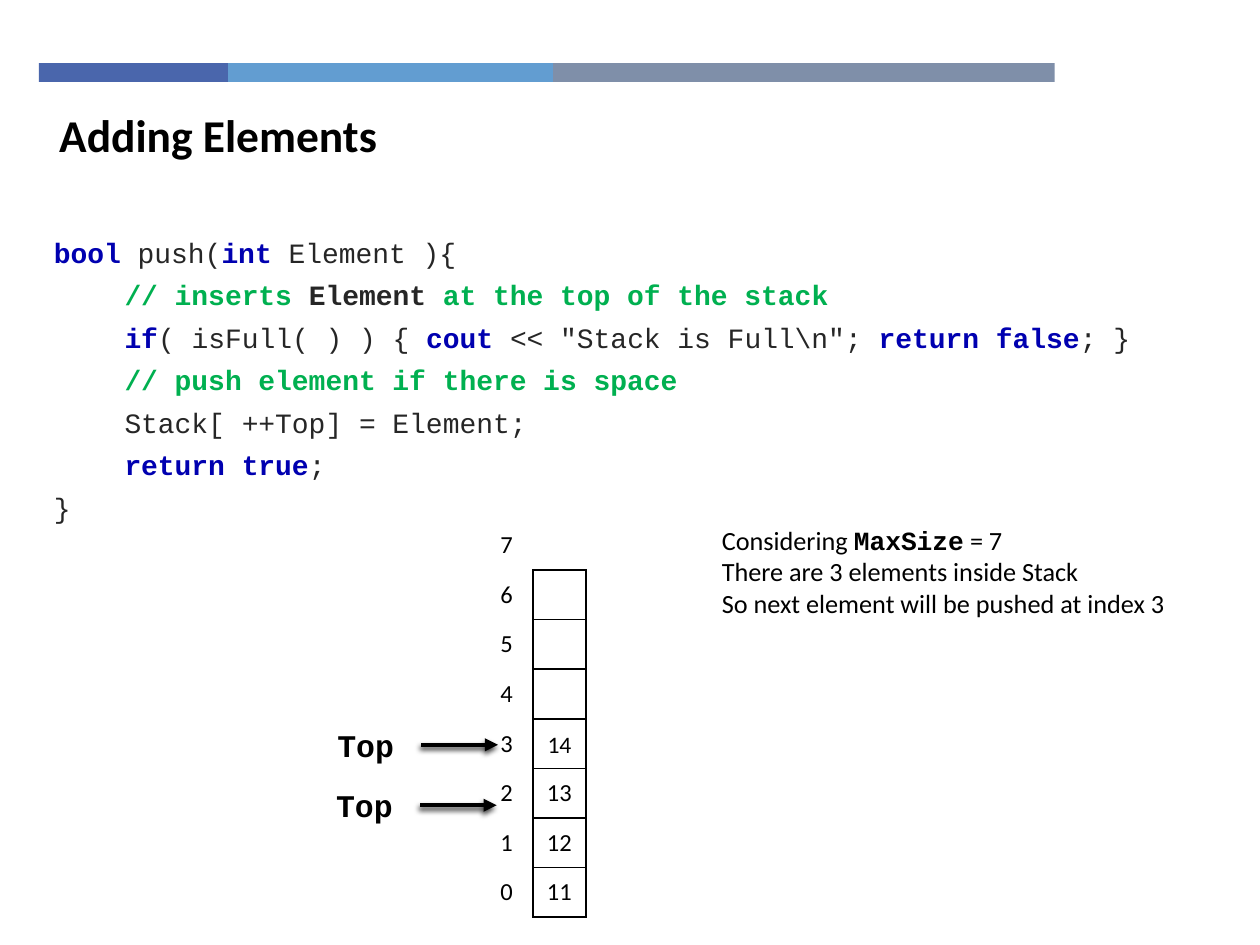
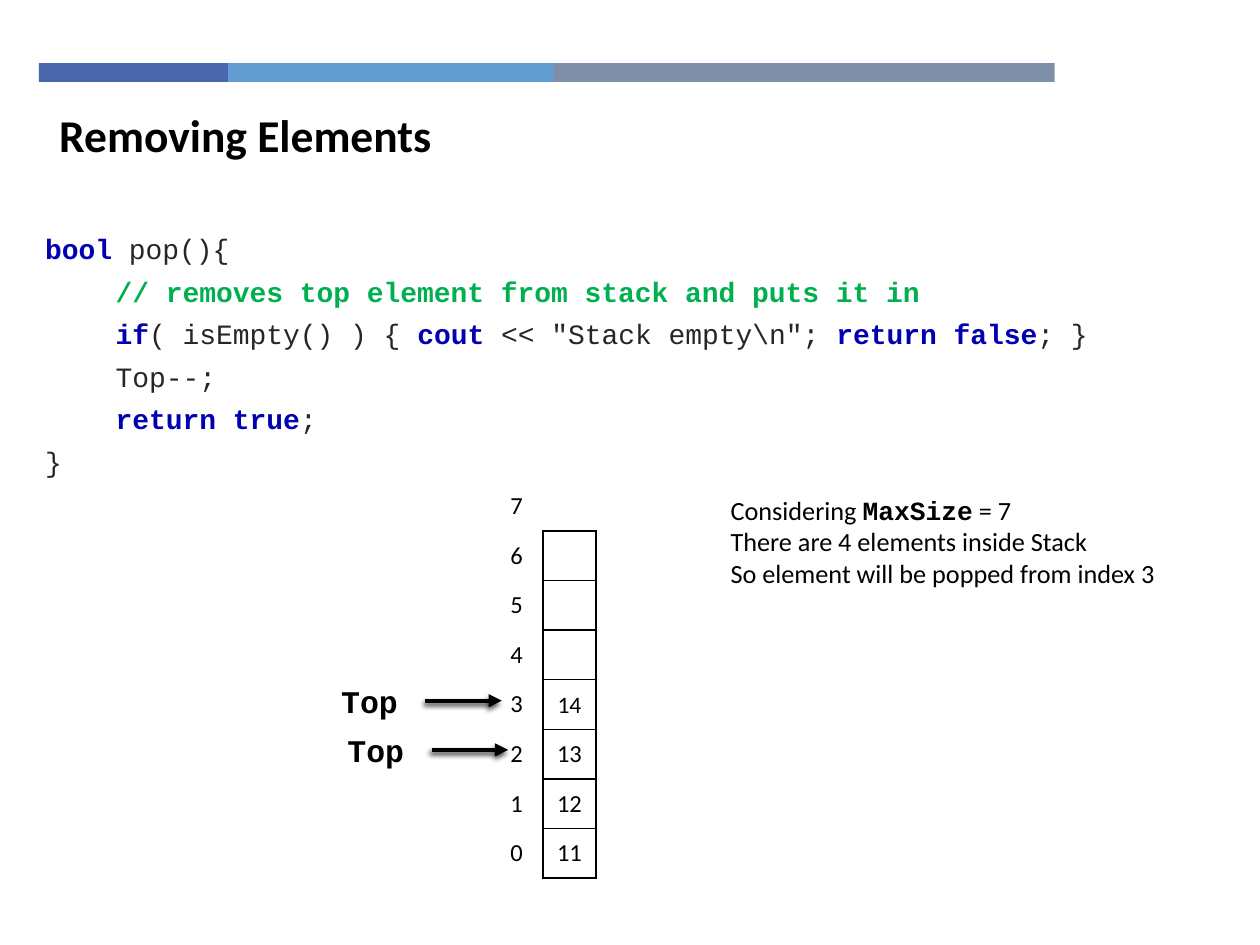
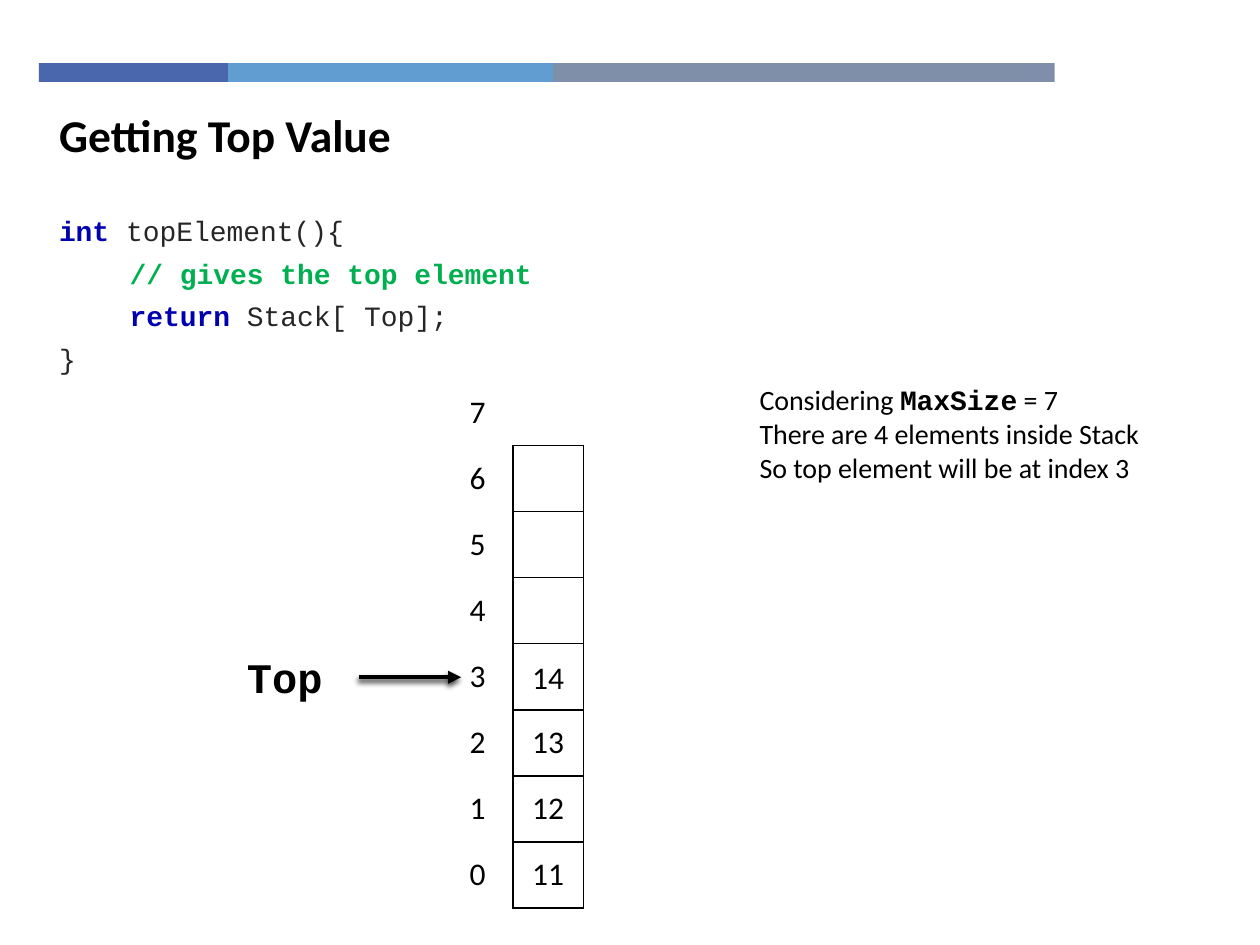
import math
from dataclasses import dataclass

from lxml import etree
from pptx import Presentation
from pptx.dml.color import RGBColor
from pptx.enum import shapes, text
from pptx.oxml import ns
from pptx.util import Inches, Pt


@dataclass(frozen=True)
class Theme:
    black: str = "000000"
    white: str = "FFFFFF"
    plain: str = "262626"
    keyword: str = "0000B0"
    comment: str = "00B050"
    bands: tuple = (("4A66AC", 1.5), ("629DD1", 2.58), ("7F8FA9", 3.98))
    sans: str = "Calibri"
    mono: str = "Courier New"
    title: float = 26
    code: float = 16
    # Sizes in a stack diagram drawn at scale 1
    index: float = 18
    pointer: float = 24


T = Theme()
MAX_SIZE = 7
CELL_W, CELL_H = 0.56, 0.525
POINTER_W, POINTER_H, ARROW_W = 1.18, 0.43, 0.81
NO_GRID_STYLE = "{2D5ABB26-0587-4C30-8999-92F81FD0307C}"

# Styles of code runs: colour and bold
PLAIN, KEYWORD = (T.plain, False), (T.keyword, True)
COMMENT, STRONG = (T.comment, True), (T.plain, True)

# Each code line is an indent level and its runs
RETURN_TRUE = (1, [("return true", KEYWORD), (";", PLAIN)])
CLOSE = (0, [("}", PLAIN)])


def guard(test, message):
    return (1, [("if", KEYWORD), (f"( {test} ) {{ ", PLAIN), ("cout ", KEYWORD),
                (f'<< "{message}\\n"; ', PLAIN), ("return false", KEYWORD), ("; }", PLAIN)])


SLIDES = [
    dict(
        title="Adding Elements",
        code_box=(0.33, 1.86, 9.41, 2.25),
        code=[
            (0, [("bool", KEYWORD), (" push(", PLAIN), ("int ", KEYWORD), ("Element ){", PLAIN)]),
            (1, [("// inserts ", COMMENT), ("Element ", STRONG),
                 ("at the top of the stack", COMMENT)]),
            guard("isFull( )", "Stack is Full"),
            (1, [("// push element if there is space", COMMENT)]),
            (1, [("Stack[ ++Top] = Element;", PLAIN)]),
            RETURN_TRUE,
            CLOSE,
        ],
        stack=(3.81, 4.13, 0.75),
        pointers=[(2.46, 5.75), (2.45, 6.23)],
        note_box=(5.63, 4.11, 4.11, 0.86),
        note_size=15,
        notes=["There are 3 elements inside Stack", "So next element will be pushed at index 3"],
    ),
    dict(
        title="Removing Elements",
        code_box=(0.26, 1.83, 9.74, 2.05),
        code=[
            (0, [("bool", KEYWORD), (" pop(){", PLAIN)]),
            (1, [("// removes top element from stack and puts it in", COMMENT)]),
            guard("isEmpty()", "Stack empty"),
            (1, [("Top--;", PLAIN)]),
            RETURN_TRUE,
            CLOSE,
        ],
        stack=(3.89, 3.82, 0.75),
        pointers=[(2.54, 5.79), (2.49, 5.4)],
        note_box=(5.7, 3.87, 4.11, 0.86),
        note_size=15,
        notes=["There are 4 elements inside Stack", "So element will be popped from index 3"],
    ),
    dict(
        title="Getting Top Value",
        code_box=(0.37, 1.69, 6.59, 1.67),
        code=[
            (0, [("int ", KEYWORD), ("topElement(){", PLAIN)]),
            (1, [("// gives the top element", COMMENT)]),
            (1, [("return ", KEYWORD), ("Stack[ Top];", PLAIN)]),
            CLOSE,
        ],
        stack=(3.51, 3.01, 1),
        pointers=[(1.67, 5.16)],
        note_box=(5.93, 2.99, 4, 0.91),
        note_size=16,
        notes=["There are 4 elements inside Stack", "So top element will be at index 3"],
    ),
]


def rgb(color):
    return RGBColor.from_string(color)


def inches(*lengths):
    return [Inches(length) for length in lengths]


def set_font(font, size, name=T.sans, color=T.black, bold=False):
    font.size, font.name, font.bold = Pt(size), name, bold
    font.color.rgb = rgb(color)


def add_rect(parent, box, color):
    sp = parent.add_shape(shapes.MSO_SHAPE.RECTANGLE, *inches(*box))
    sp.shadow.inherit = False
    sp.fill.solid()
    sp.fill.fore_color.rgb = rgb(color)
    sp.line.fill.background()
    return sp


def add_textbox(slide, box):
    tf = slide.shapes.add_textbox(*inches(*box)).text_frame
    tf.word_wrap = True
    return tf


def add_paragraphs(tf, count):
    return [tf.paragraphs[0]] + [tf.add_paragraph() for _ in range(count - 1)]


def add_bands(slide):
    """Draw the top bands and hand them to the slide's layout, so all slides show them."""
    x = 0.31
    for i, (color, width) in enumerate(T.bands):
        sp = add_rect(slide.shapes, (x, 0.5, width, 0.15), color)
        sp.name = f"Band {i + 1}"
        sp.element.nvSpPr.cNvPr.set("id", str(100 + i))
        slide.slide_layout.shapes.element.append(sp.element)
        x += width


def set_title(slide, title):
    sp = slide.shapes.title
    sp.left, sp.top, sp.width, sp.height = inches(0.37, 0.8, 7.16, 0.54)
    tf = sp.text_frame
    tf.text = title
    tf.auto_size = text.MSO_AUTO_SIZE.NONE
    tf.vertical_anchor = text.MSO_ANCHOR.TOP
    p = tf.paragraphs[0]
    p.alignment = text.PP_ALIGN.LEFT
    set_font(p.font, T.title, bold=True)


def add_code(slide, box, lines):
    tf = add_textbox(slide, box)
    for p, (level, runs) in zip(add_paragraphs(tf, len(lines)), lines):
        p.alignment = text.PP_ALIGN.JUSTIFY
        p.line_spacing = 0.85
        p.space_before = p.space_after = Pt(4)
        pPr = p._p.get_or_add_pPr()
        pPr.set("marL", str(Inches(0.56 * level)))
        pPr.set("indent", "0")
        for words, (color, bold) in runs:
            r = p.add_run()
            r.text = words
            set_font(r.font, T.code, T.mono, color, bold)


def add_borders(cell):
    tcPr = cell._tc.get_or_add_tcPr()
    for edge in ("lnL", "lnR", "lnT", "lnB"):
        ln = etree.SubElement(tcPr, ns.qn(f"a:{edge}"), w=str(Pt(1)))
        fill = etree.SubElement(ln, ns.qn("a:solidFill"))
        etree.SubElement(fill, ns.qn("a:srgbClr"), val=T.black)


def add_stack(slide, x, y, scale):
    """Indexes on the left, bordered cells on the right, and the top value laid over its cell."""
    w, h = CELL_W * scale, CELL_H * scale
    rows = MAX_SIZE + 1
    table = slide.shapes.add_table(rows, 2, *inches(x, y, 2 * w, rows * h)).table
    table.first_row = table.horz_banding = False
    table._tbl.tblPr.find(ns.qn("a:tableStyleId")).text = NO_GRID_STYLE
    values = {0: "11", 1: "12", 2: "13"}
    for row in range(rows):
        index = MAX_SIZE - row
        for col, words in enumerate((str(index), values.get(index, ""))):
            cell = table.cell(row, col)
            cell.text = words
            if col and row:
                add_borders(cell)
            cell.fill.background()
            cell.vertical_anchor = text.MSO_ANCHOR.MIDDLE
            cell.margin_left = cell.margin_right = Inches(0.1 * scale)
            cell.margin_top = cell.margin_bottom = Inches(0.05 * scale)
            p = cell.text_frame.paragraphs[0]
            p.alignment = text.PP_ALIGN.CENTER
            set_font(p.font, math.ceil(T.index * scale))

    tf = add_textbox(slide, (x + w, y + (MAX_SIZE - 3) * h, w, h))
    tf.vertical_anchor = text.MSO_ANCHOR.MIDDLE
    p = tf.paragraphs[0]
    p.text = "14"
    p.alignment = text.PP_ALIGN.CENTER
    set_font(p.font, T.index * scale)


def add_arrow_effects(connector):
    ln = connector.line._get_or_add_ln()
    etree.SubElement(ln, ns.qn("a:tailEnd"), type="triangle")
    effects = etree.SubElement(connector.element.spPr, ns.qn("a:effectLst"))
    shadow = etree.SubElement(effects, ns.qn("a:outerShdw"), blurRad=str(Pt(3)),
                              dist=str(Pt(2)), dir=str(110 * 60000), rotWithShape="0")
    color = etree.SubElement(shadow, ns.qn("a:srgbClr"), val=T.black)
    etree.SubElement(color, ns.qn("a:alpha"), val="75000")


def add_pointer(slide, x, y, scale):
    w, h, arrow = POINTER_W * scale, POINTER_H * scale, ARROW_W * scale
    group = slide.shapes.add_group_shape()
    sp = add_rect(group.shapes, (x, y, w, h), T.white)
    tf = sp.text_frame
    tf.text = "Top"
    tf.vertical_anchor = text.MSO_ANCHOR.MIDDLE
    p = tf.paragraphs[0]
    p.alignment = text.PP_ALIGN.CENTER
    set_font(p.font, T.pointer * scale, T.mono, bold=True)

    mid = y + h / 2
    connector = group.shapes.add_connector(
        shapes.MSO_CONNECTOR.STRAIGHT, *inches(x + w, mid, x + w + arrow, mid))
    connector.begin_connect(sp, 3)
    connector.line.color.rgb = rgb(T.black)
    connector.line.width = Pt(2.5)
    add_arrow_effects(connector)


def add_notes(slide, box, size, notes):
    tf = add_textbox(slide, box)
    first, *rest = add_paragraphs(tf, len(notes) + 1)
    for words, name in (("Considering ", T.sans), ("MaxSize", T.mono), (" = 7", T.sans)):
        r = first.add_run()
        r.text = words
        set_font(r.font, size, name, bold=name == T.mono)
    for p, words in zip(rest, notes):
        p.text = words
        set_font(p.font, size)
    for p in tf.paragraphs:
        p.alignment = text.PP_ALIGN.JUSTIFY


def add_stack_slide(prs, content):
    slide = prs.slides.add_slide(prs.slide_layouts[5])
    set_title(slide, content["title"])
    add_code(slide, content["code_box"], content["code"])
    add_stack(slide, *content["stack"])
    scale = content["stack"][2]
    for x, y in content["pointers"]:
        add_pointer(slide, x, y, scale)
    add_notes(slide, content["note_box"], content["note_size"], content["notes"])
    return slide


def main():
    prs = Presentation()
    prs.slide_width, prs.slide_height = inches(10, 7.5)
    slides = [add_stack_slide(prs, content) for content in SLIDES]
    add_bands(slides[0])
    prs.save("out.pptx")


if __name__ == "__main__":
    main()
